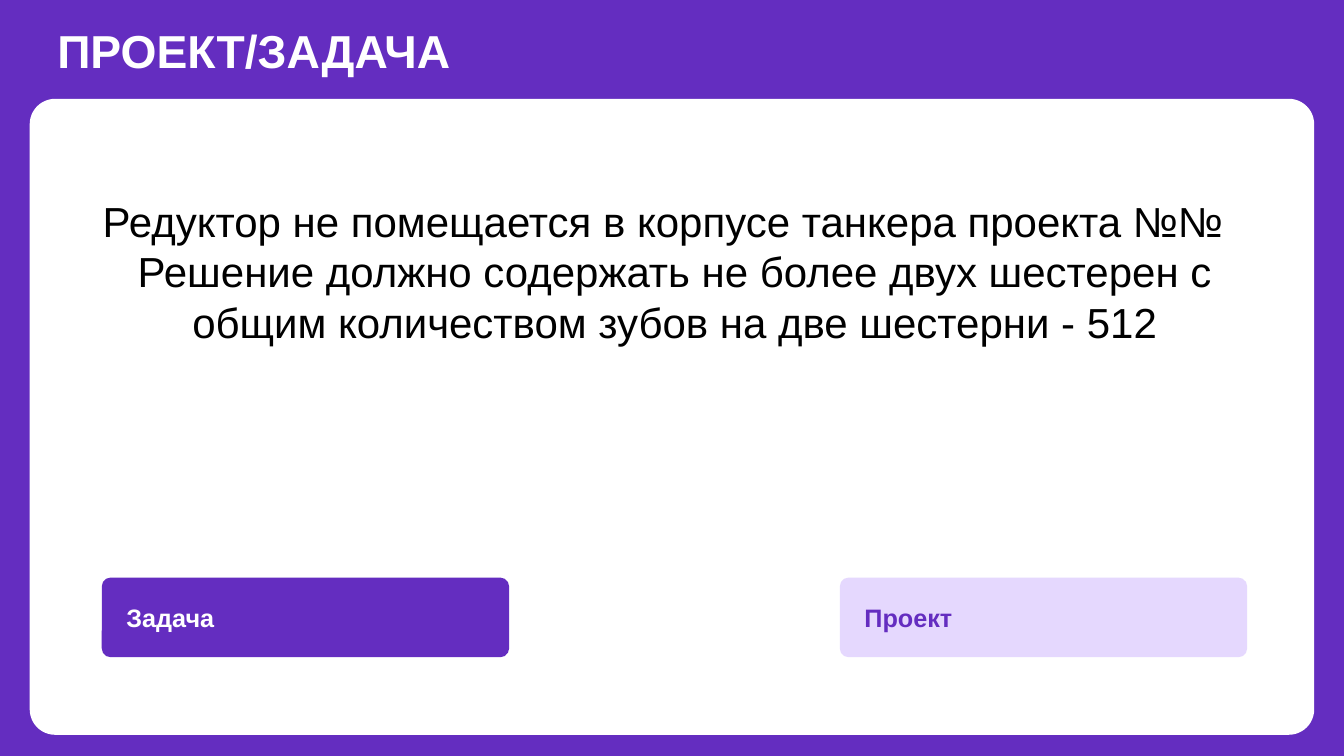
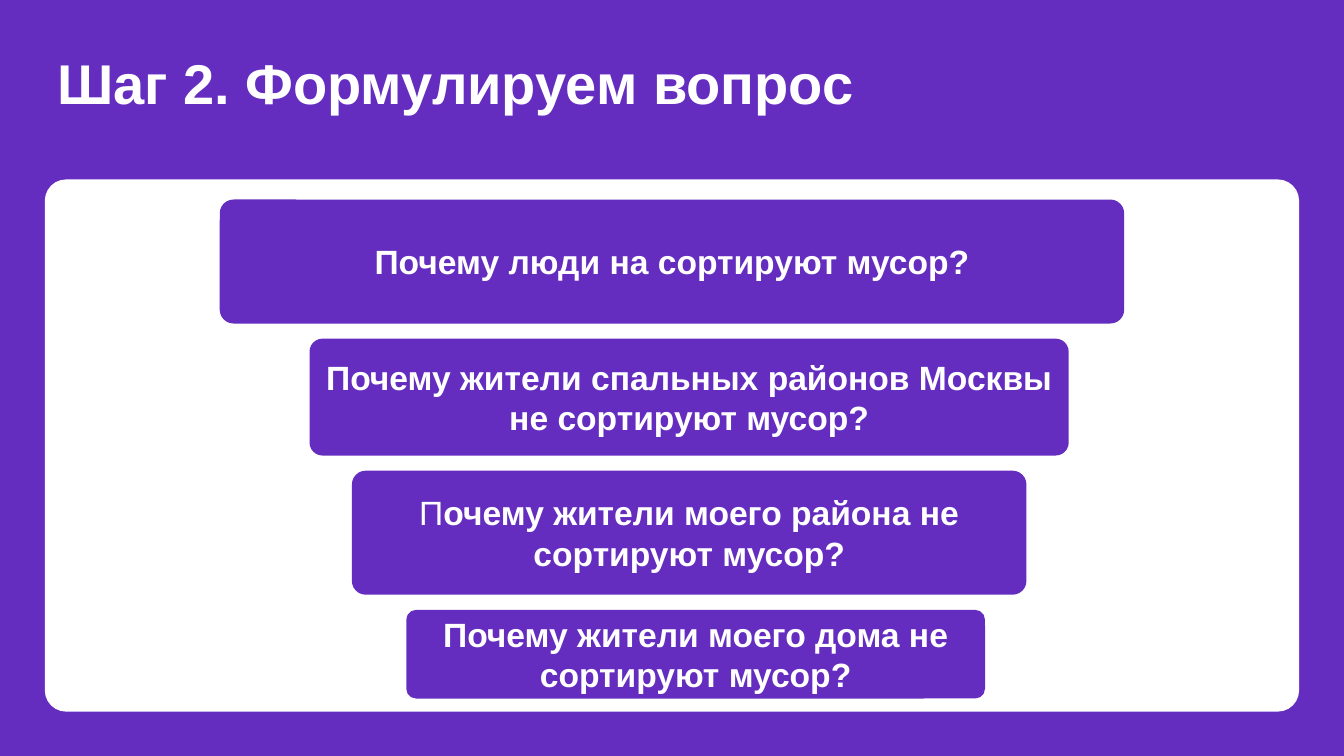
from dataclasses import dataclass

from pptx import Presentation
from pptx.dml.color import RGBColor
from pptx.enum.shapes import MSO_SHAPE
from pptx.enum.text import MSO_ANCHOR, MSO_AUTO_SIZE, PP_ALIGN
from pptx.util import Inches, Pt

ROUNDED = MSO_SHAPE.ROUNDED_RECTANGLE
LEFT, CENTER = PP_ALIGN.LEFT, PP_ALIGN.CENTER
TOP, MIDDLE = MSO_ANCHOR.TOP, MSO_ANCHOR.MIDDLE
GROW = MSO_AUTO_SIZE.SHAPE_TO_FIT_TEXT


@dataclass(frozen=True)
class Theme:
    font: str = "Arial"
    purple: str = "642DC0"
    lilac: str = "E5D8FE"
    white: str = "FFFFFF"
    black: str = "000000"
    task_title: int = 33
    step_title: int = 40
    body: int = 30
    question: int = 24
    label: int = 18
    panel_corner: float = 0.04
    box_corner: float = 0.111


T = Theme()
WIDTH, HEIGHT = 13.33, 7.5

TASK_TITLE = "ПРОЕКТ/ЗАДАЧА"
TASK_TEXT = [
    ("Редуктор не помещается в корпусе танкера проекта №№", LEFT),
    ("Решение должно содержать не более двух шестерен с общим количеством "
     "зубов на две шестерни - 512", CENTER),
]
ANSWERS = [("Задача", T.purple, T.white), ("Проект", T.lilac, T.purple)]
ANSWER_LEFT, ANSWER_TOP, ANSWER_PITCH = 1.01, 5.73, 7.32
ANSWER_W, ANSWER_H = 4.04, 0.79

STEP_TITLE = "Шаг 2. Формулируем вопрос"
# regular-weight start, bold text, left, width, height
QUESTIONS = [
    ("", "Почему люди на сортируют мусор?", 2.18, 8.97, 1.23),
    ("", "Почему жители спальных районов Москвы не сортируют мусор?",
     3.07, 7.53, 1.16),
    ("П", "очему жители моего района не сортируют мусор?", 3.49, 6.69, 1.23),
    ("", "Почему жители моего дома не сортируют мусор?", 4.03, 5.74, 0.88),
]
QUESTION_TOP, QUESTION_GAP = 1.98, 0.15


def write(shape, paragraphs, size, color, anchor=TOP, inset=0.05, indent=0,
          grow=False):
    """Fill a shape with paragraphs given as (runs, alignment); a run is (text, bold)."""
    tf = shape.text_frame
    tf.word_wrap = True
    if grow:
        tf.auto_size = GROW
    tf.vertical_anchor = anchor
    tf.margin_left = tf.margin_right = Inches(0.1)
    tf.margin_top = tf.margin_bottom = Inches(inset)
    for i, (runs, align) in enumerate(paragraphs):
        p = tf.add_paragraph() if i else tf.paragraphs[0]
        p.alignment = align
        if indent:
            pPr = p._p.get_or_add_pPr()
            pPr.set("marL", str(Inches(indent)))
            pPr.set("indent", "0")
        for text, bold in runs:
            r = p.add_run()
            r.text = text
            r.font.name, r.font.size, r.font.bold = T.font, Pt(size), bold
            r.font.color.rgb = RGBColor.from_string(color)


def add_rounded(s, box, fill, corner=T.box_corner):
    sp = s.shapes.add_shape(ROUNDED, *map(Inches, box))
    sp.adjustments[0] = corner
    sp.shadow.inherit = False
    sp.fill.solid()
    sp.fill.fore_color.rgb = RGBColor.from_string(fill)
    sp.line.fill.background()
    return sp


def add_text(s, box, paragraphs, size, color, **fmt):
    sp = s.shapes.add_textbox(*map(Inches, box))
    write(sp, paragraphs, size, color, grow=True, **fmt)


def add_base(prs, title, title_box, size, panel_top, panel_w, panel_h):
    """Add a purple slide with its title and a centred white panel."""
    s = prs.slides.add_slide(prs.slide_layouts[6])
    s.background.fill.solid()
    s.background.fill.fore_color.rgb = RGBColor.from_string(T.purple)
    panel = ((WIDTH - panel_w) / 2, panel_top, panel_w, panel_h)
    add_rounded(s, panel, T.white, T.panel_corner)
    add_text(s, title_box, [([(title, True)], LEFT)], size, T.white)
    return s


def build_task(prs):
    s = add_base(prs, TASK_TITLE, (0.47, 0.17, 8.32, 0.66), T.task_title,
                 0.98, 12.74, 6.31)
    for i, (label, fill, color) in enumerate(ANSWERS):
        box = (ANSWER_LEFT + i * ANSWER_PITCH, ANSWER_TOP, ANSWER_W, ANSWER_H)
        write(add_rounded(s, box, fill), [([(label, True)], LEFT)],
              T.label, color, anchor=MIDDLE, indent=0.12)
    body = [([(text, False)], align) for text, align in TASK_TEXT]
    add_text(s, (0.92, 1.84, 11.55, 1.72), body, T.body, T.black, inset=0.1)


def build_questions(prs):
    s = add_base(prs, STEP_TITLE, (0.47, 0.43, 9.1, 0.77), T.step_title,
                 1.78, 12.44, 5.28)
    top = QUESTION_TOP
    for start, text, left, width, height in QUESTIONS:
        runs = [(start, False)] if start else []
        runs.append((text, True))
        write(add_rounded(s, (left, top, width, height), T.purple),
              [(runs, CENTER)], T.question, T.white, anchor=MIDDLE)
        top += height + QUESTION_GAP


def main():
    prs = Presentation()
    prs.slide_width, prs.slide_height = Inches(WIDTH), Inches(HEIGHT)
    build_task(prs)
    build_questions(prs)
    prs.save("out.pptx")


if __name__ == "__main__":
    main()
